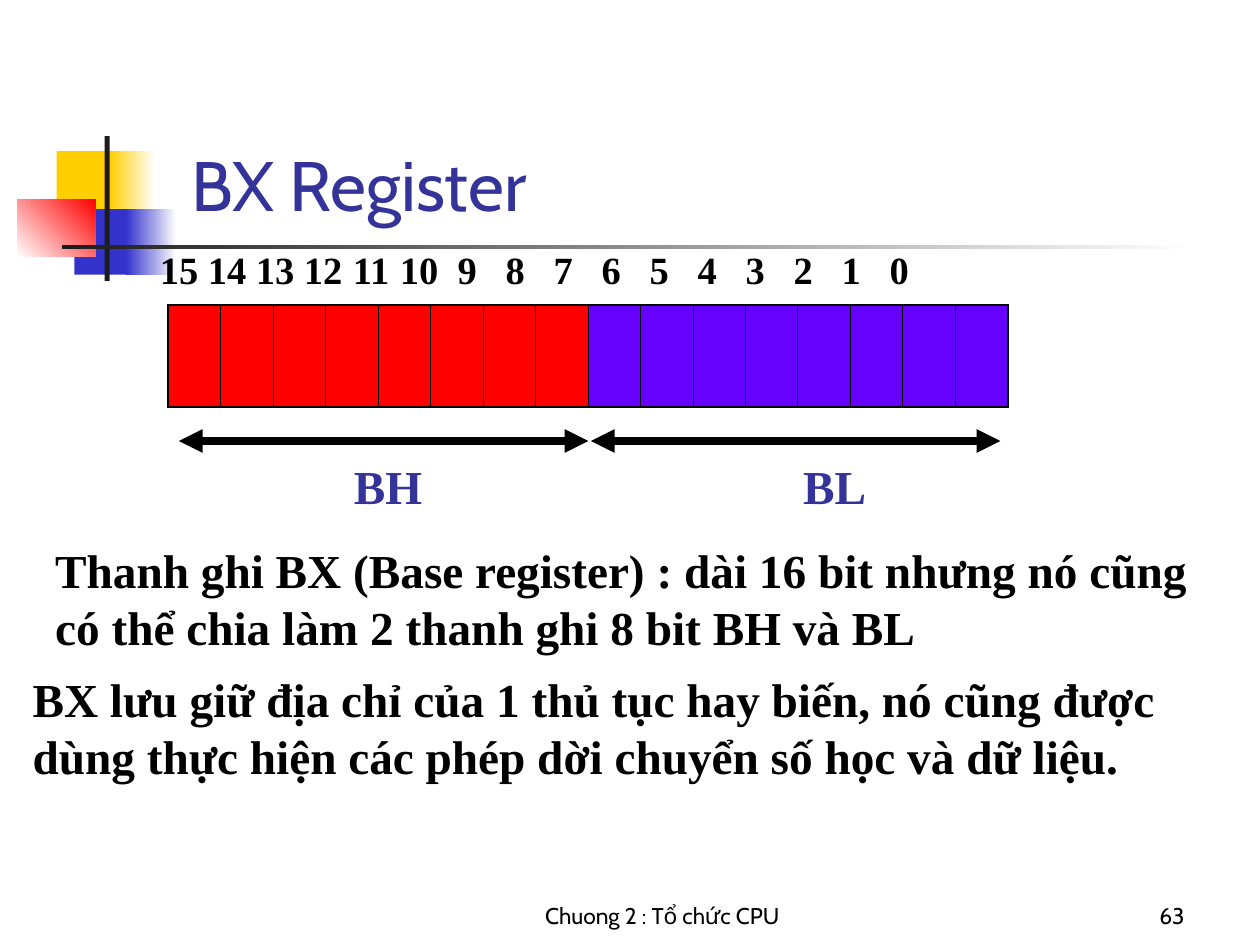
"""Build the BX register slide with its bit table and byte spans."""
from dataclasses import dataclass
from typing import Optional

from lxml.etree import SubElement
from pptx import Presentation
from pptx.dml.color import RGBColor
from pptx.enum.shapes import MSO_CONNECTOR, MSO_SHAPE
from pptx.enum.text import MSO_ANCHOR, MSO_AUTO_SIZE, PP_ALIGN
from pptx.oxml.ns import qn
from pptx.shapes.base import BaseShape
from pptx.slide import Slide
from pptx.table import _Cell
from pptx.text.text import _Paragraph
from pptx.util import Pt


@dataclass(frozen=True)
class Theme:
    """Colours, fonts and type sizes."""
    black: RGBColor = RGBColor(0, 0, 0)
    white: RGBColor = RGBColor(255, 255, 255)
    dark: RGBColor = RGBColor(0x1C, 0x1C, 0x1C)
    gold: RGBColor = RGBColor(0xFF, 0xCF, 0x01)
    blue: RGBColor = RGBColor(0x33, 0x33, 0xCC)
    navy: RGBColor = RGBColor(0x33, 0x33, 0x99)
    red: RGBColor = RGBColor(255, 0, 0)
    violet: RGBColor = RGBColor(0x66, 0, 255)
    sans: str = "Cabin"
    serif: str = "Times New Roman"
    head: float = 40
    body: float = 27
    bits: float = 22
    foot: float = 13
    thin: float = 0.45
    edge: float = 1.08
    span: float = 4.5


THEME = Theme()


@dataclass(frozen=True)
class Box:
    """A place on the slide in points."""
    left: float
    top: float
    width: float
    height: float

    def place(self) -> tuple[Pt, Pt, Pt, Pt]:
        """Give the four lengths."""
        return Pt(self.left), Pt(self.top), Pt(self.width), Pt(self.height)


@dataclass(frozen=True)
class Block:
    """A plain or fading rectangle of the title mark."""
    box: Box
    start: RGBColor
    end: Optional[RGBColor] = None
    angle: float = 0


@dataclass(frozen=True)
class Label:
    """A text with its place and style."""
    text: str
    box: Box
    size: float = THEME.body
    color: RGBColor = THEME.black
    face: str = THEME.serif
    bold: bool = True
    align: PP_ALIGN = PP_ALIGN.LEFT
    anchor: MSO_ANCHOR = MSO_ANCHOR.TOP


@dataclass(frozen=True)
class Half:
    """One byte of the register."""
    name: str
    color: RGBColor
    left: float
    box: Box


SPAN = 234
BITS = 16
STEP = 27.43
GRID = Box(96, 174.24, 480, 58.32)
BLOCKS = (
    Block(Box(32.4, 86.4, 34.56, 37.44), THEME.gold),
    Block(Box(62.64, 86.4, 25.92, 37.44), THEME.gold, THEME.white),
    Block(Box(42.48, 119.52, 33.12, 37.44), THEME.blue),
    Block(Box(72, 119.52, 28.8, 37.44), THEME.blue, THEME.white),
    Block(Box(10.08, 113.76, 44.64, 33.12), THEME.white, THEME.red, 45),
    Block(Box(59.76, 77.76, 2.88, 82.8), THEME.dark),
    Block(Box(35.28, 140.1, 647.28, 2.5), THEME.dark, THEME.white),
)
HALVES = (
    Half("BH", THEME.red, 102.24, Box(149.76, 257.76, 144, 38.88)),
    Half("BL", THEME.violet, 337.68, Box(414, 257.76, 126, 38.88)),
)
TITLE = Label("BX Register", Box(102.24, 90, 491.04, 42.48), THEME.head,
              THEME.navy, THEME.sans, False, anchor=MSO_ANCHOR.BOTTOM)
SCALE = Label("\t".join(str(bit) for bit in reversed(range(BITS))),
              Box(84.24, 136.8, 498.24, 33.12), THEME.bits)
NOTES = (
    Label("Thanh ghi BX (Base register) : dài 16 bit nhưng nó cũng "
          "có thể chia làm 2 thanh ghi 8 bit BH và BL",
          Box(24.48, 306, 671.76, 71.28)),
    Label("BX lưu giữ địa chỉ của 1 thủ tục hay biến, nó cũng được "
          "dùng thực hiện các phép dời chuyển số học và dữ liệu.",
          Box(11.52, 379.44, 666, 71.28)),
    Label("Chuong 2 : Tổ chức CPU", Box(264.24, 498.24, 228.24, 36),
          THEME.foot, THEME.black, THEME.sans, False,
          PP_ALIGN.CENTER, MSO_ANCHOR.BOTTOM),
    Label("63", Box(534.24, 498.24, 149.76, 36), THEME.foot, THEME.black,
          THEME.sans, False, PP_ALIGN.RIGHT, MSO_ANCHOR.BOTTOM),
)


def draw_block(slide: Slide, block: Block) -> None:
    """Draw one rectangle of the title mark."""
    shape = slide.shapes.add_shape(MSO_SHAPE.RECTANGLE, *block.box.place())
    shape.shadow.inherit = False
    shape.line.fill.background()
    if block.end is None:
        shape.fill.solid()
        shape.fill.fore_color.rgb = block.start
        return
    shape.fill.gradient()
    shape.fill.gradient_angle = block.angle
    for stop, color in zip(shape.fill.gradient_stops, (block.start, block.end)):
        stop.color.rgb = color


def fill_text(shape: BaseShape, label: Label) -> _Paragraph:
    """Place a text shape and style its paragraph."""
    shape.left, shape.top, shape.width, shape.height = label.box.place()
    frame = shape.text_frame
    frame.text = label.text
    frame.word_wrap = True
    frame.auto_size = MSO_AUTO_SIZE.NONE
    frame.vertical_anchor = label.anchor
    para = frame.paragraphs[0]
    para.alignment = label.align
    font = para.font
    font.name, font.size, font.bold = label.face, Pt(label.size), label.bold
    font.color.rgb = label.color
    return para


def draw_label(slide: Slide, label: Label) -> _Paragraph:
    """Draw a text box."""
    return fill_text(slide.shapes.add_textbox(*label.box.place()), label)


def set_tabs(para: _Paragraph) -> None:
    """Centre each bit number on an even step."""
    props = para._p.get_or_add_pPr()
    tabs = SubElement(props, qn("a:tabLst"))
    props.insert(0, tabs)
    for slot in range(1, BITS):
        SubElement(tabs, qn("a:tab"), pos=str(Pt(11 + STEP * slot)), algn="ctr")


def draw_edge(cell: _Cell, side: str, width: float) -> None:
    """Draw one border of a cell."""
    props = cell._tc.get_or_add_tcPr()
    line = SubElement(props, qn(f"a:ln{side}"), w=str(Pt(width)))
    SubElement(SubElement(line, qn("a:solidFill")), qn("a:srgbClr"),
               val=str(THEME.black))


def draw_grid(slide: Slide) -> None:
    """Draw the row of bits."""
    table = slide.shapes.add_table(1, BITS, *GRID.place()).table
    table.first_row = table.horz_banding = False
    for slot, cell in enumerate(table.rows[0].cells):
        table.columns[slot].width = Pt(GRID.width / BITS)
        draw_edge(cell, "L", THEME.edge if slot == 0 else THEME.thin)
        draw_edge(cell, "R", THEME.edge if slot == BITS - 1 else THEME.thin)
        draw_edge(cell, "T", THEME.edge)
        draw_edge(cell, "B", THEME.edge)
        cell.fill.solid()
        cell.fill.fore_color.rgb = HALVES[slot * len(HALVES) // BITS].color


def draw_half(slide: Slide, half: Half) -> None:
    """Draw the span and name of one byte."""
    line = slide.shapes.add_connector(MSO_CONNECTOR.STRAIGHT, Pt(half.left),
                                      Pt(252), Pt(half.left + SPAN), Pt(252))
    line.line.color.rgb = THEME.black
    line.line.width = Pt(THEME.span)
    for end in ("head", "tail"):
        SubElement(line.line._get_or_add_ln(), qn(f"a:{end}End"), type="triangle")
    SubElement(line._element.spPr, qn("a:effectLst"))
    draw_label(slide, Label(half.name, half.box, color=THEME.navy,
                            align=PP_ALIGN.CENTER))


def main() -> None:
    """Build and save the slide."""
    deck = Presentation()
    deck.slide_width, deck.slide_height = Pt(720), Pt(540)
    slide = deck.slides.add_slide(deck.slide_layouts[5])
    for block in BLOCKS:
        draw_block(slide, block)
    fill_text(slide.shapes.title, TITLE)
    set_tabs(draw_label(slide, SCALE))
    draw_grid(slide)
    for half in HALVES:
        draw_half(slide, half)
    for note in NOTES:
        draw_label(slide, note)
    deck.save("out.pptx")


if __name__ == "__main__":
    main()
